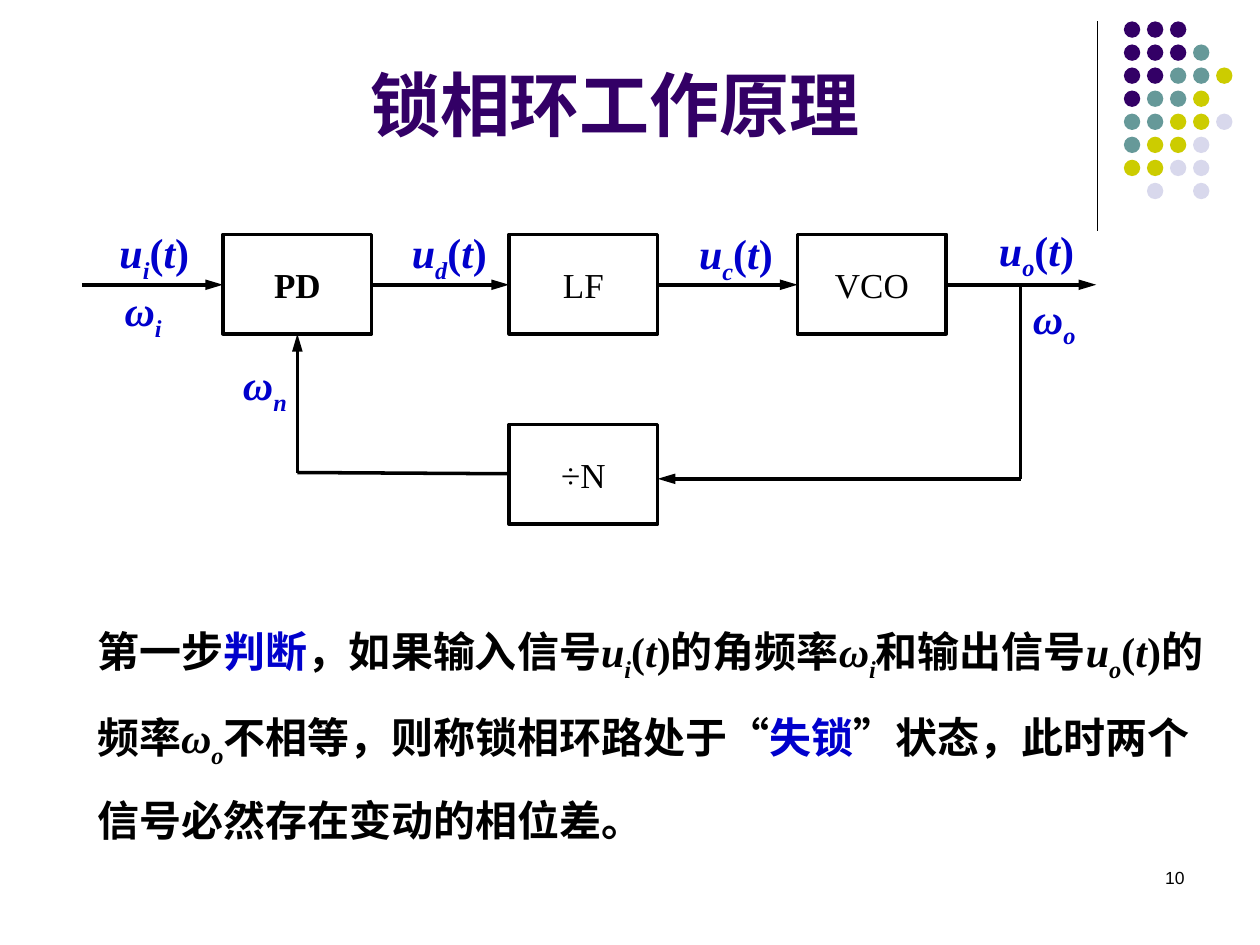
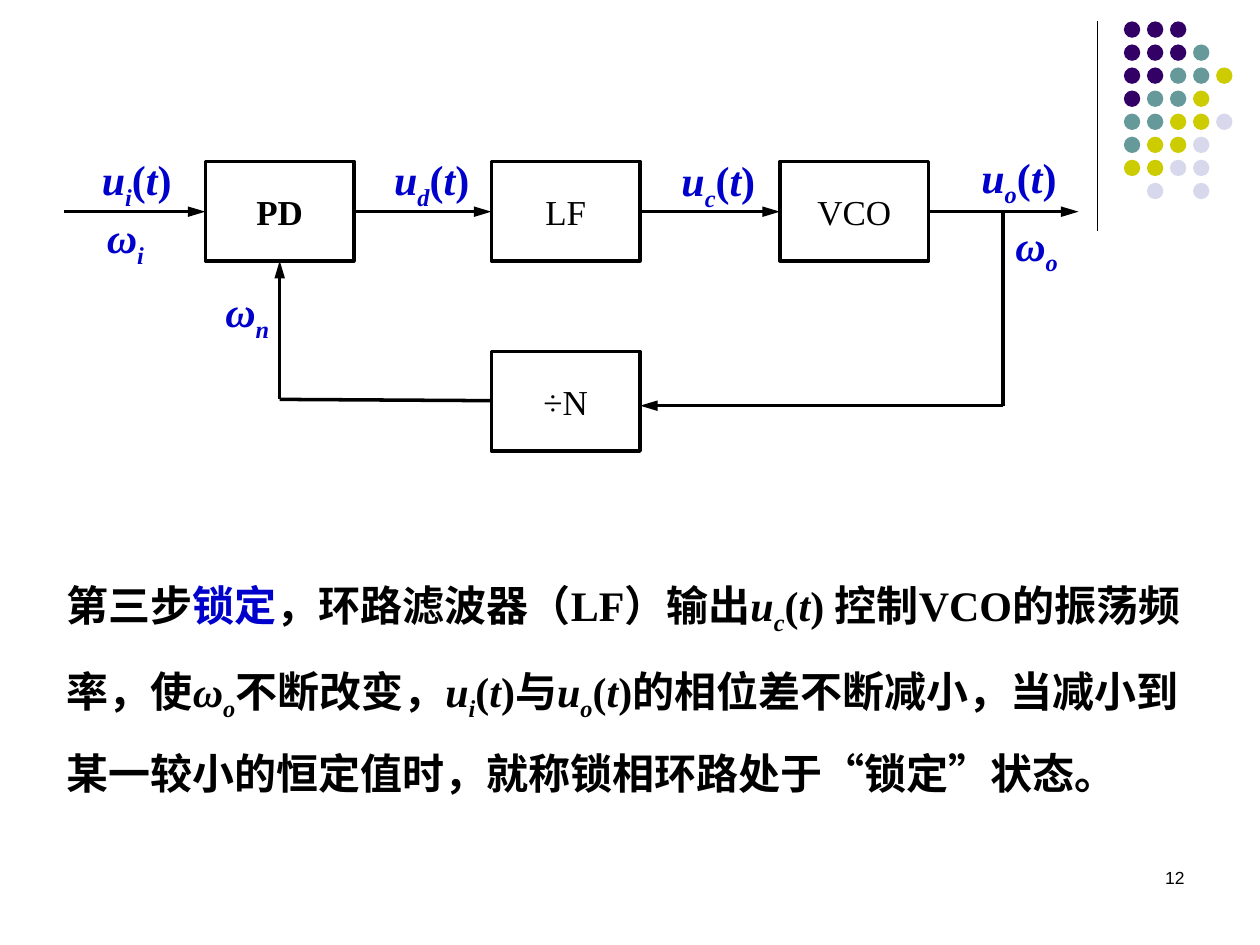
from dataclasses import dataclass
from itertools import groupby

from lxml import etree
from pptx import Presentation
from pptx import util as u
from pptx.dml.color import RGBColor
from pptx.enum import shapes as sh, text as tx
from pptx.oxml.ns import qn

PX = 9144  # one hundredth of an inch

BLACK = RGBColor(0x00, 0x00, 0x00)
WHITE = RGBColor(0xFF, 0xFF, 0xFF)
BLUE = RGBColor(0x00, 0x00, 0xCC)
PLUM = RGBColor(0x33, 0x00, 0x66)
TEAL = RGBColor(0x66, 0x99, 0x99)
LIME = RGBColor(0xCC, 0xCC, 0x00)
MIST = RGBColor(0xD8, 0xD8, 0xEC)

SERIF = "Times New Roman"
SANS = "Arial"
HAN = "Noto Sans CJK SC"
MATH = "utω"

DOTS = ("PPP", "PPPT", "PPTTY", "PTTY", "TTYYL", "TYYL", "YYLL", " L L")
TINTS = {"P": PLUM, "T": TEAL, "Y": LIME, "L": MIST}
PITCH = 18.3


@dataclass(frozen=True)
class Block:
    text: str
    left: int
    top: int
    bold: bool = False


@dataclass(frozen=True)
class Wire:
    start: tuple[int, int]
    end: tuple[int, int]
    arrow: bool = True


@dataclass(frozen=True)
class Label:
    text: str
    left: int
    top: int


@dataclass(frozen=True)
class Page:
    number: int
    title: str
    shift: tuple[int, int]
    area: tuple[int, int, int, int]
    body: str


BLOCKS = (
    Block("PD", 177, 186, bold=True),
    Block("LF", 404, 186),
    Block("VCO", 633, 186),
    Block("÷N", 404, 337),
)
WIRES = (
    Wire((65, 226), (177, 226)),
    Wire((295, 226), (404, 226)),
    Wire((522, 226), (633, 226)),
    Wire((751, 226), (870, 226)),
    Wire((810, 380), (810, 226), arrow=False),
    Wire((810, 380), (522, 380)),
    Wire((404, 376), (236, 375), arrow=False),
    Wire((236, 375), (236, 265)),
)
LABELS = (
    Label("u_i(t)", 85, 175),
    Label("u_d(t)", 317, 175),
    Label("u_c(t)", 545, 176),
    Label("u_o(t)", 783, 173),
    Label("ω_i", 89, 221),
    Label("ω_n", 183, 280),
    Label("ω_o", 810, 227),
)
PAGES = (
    Page(10, "锁相环工作原理", (0, 0), (67, 469, 898, 192),
         "第一步*判断*，如果输入信号u_i(t)的角频率ω_i和输出信号u_o(t)的频率ω_o"
         "不相等，则称锁相环路处于“*失锁*”状态，此时两个信号必然存在变动的相位差。"),
    Page(12, "", (-14, -58), (43, 432, 929, 192),
         "第三步*锁定*，环路滤波器（LF）输出u_c(t) 控制VCO的振荡频率，使ω_o不断改变，"
         "u_i(t)与u_o(t)的相位差不断减小，当减小到某一较小的恒定值时，"
         "就称锁相环路处于“锁定”状态。"),
)


def px(*sizes: float) -> list[u.Emu]:
    return [u.Emu(round(size * PX)) for size in sizes]


def place(shape, *area: int) -> None:
    shape.left, shape.top, shape.width, shape.height = px(*area)


def parse_marks(source: str) -> list[tuple[str, tuple[bool, bool, bool]]]:
    """Split into (text, (accent, italic, subscript)); * toggles accent, _ lowers a letter."""
    accent = sub = False
    chars = []
    for char in source:
        if char == "*":
            accent = not accent
        elif char == "_":
            sub = True
        else:
            chars.append((char, (accent, sub or char in MATH, sub)))
            sub = False
    return [("".join(char for char, _ in group), style)
            for style, group in groupby(chars, key=lambda pair: pair[1])]


def write(shape, source: str, *, size: int, color: RGBColor = BLACK, font: str = SERIF,
          bold: bool = False, align=tx.PP_ALIGN.LEFT, anchor=tx.MSO_ANCHOR.TOP,
          spacing: float = 1.0) -> None:
    frame = shape.text_frame
    frame.word_wrap = True
    frame.auto_size = tx.MSO_AUTO_SIZE.NONE
    frame.vertical_anchor = anchor
    para = frame.paragraphs[0]
    para.alignment = align
    para.line_spacing = spacing
    para.space_before = u.Pt(0)
    for words, (accent, italic, sub) in parse_marks(source):
        run = para.add_run()
        run.text = words
        run.font.size = u.Pt(size)
        run.font.bold = bold
        run.font.italic = italic
        run.font.color.rgb = BLUE if accent else color
        run.font.name = font
        props = run.font._element if hasattr(run.font, "_element") else run._r.get_or_add_rPr()
        etree.SubElement(props, qn("a:ea"), typeface=HAN)
        if sub:
            props.set("baseline", "-25000")


def add_text(parent, source: str, area: tuple[int, int, int, int], **style) -> None:
    write(parent.add_textbox(*px(*area)), source, **style)


def add_line(parent, wire: Wire, weight: float) -> None:
    line = parent.add_connector(sh.MSO_CONNECTOR.STRAIGHT, *px(*wire.start, *wire.end))
    line.line.color.rgb = BLACK
    line.line.width = u.Pt(weight)
    if wire.arrow:
        etree.SubElement(line.line._get_or_add_ln(), qn("a:tailEnd"),
                         type="triangle", w="med", len="lg")
    etree.SubElement(line._element.spPr, qn("a:effectLst"))


def add_solid(parent, kind, area: tuple[float, ...], fill: RGBColor):
    shape = parent.add_shape(kind, *px(*area))
    shape.shadow.inherit = False
    shape.fill.solid()
    shape.fill.fore_color.rgb = fill
    shape.line.fill.background()
    return shape


def add_corner(slide) -> None:
    """Draw the rule and the dot grid at the top right."""
    add_line(slide.shapes, Wire((871, 17), (871, 183), arrow=False), 0.75)
    group = slide.shapes.add_group_shape().shapes
    for row, tints in enumerate(DOTS):
        for col, tint in enumerate(tints):
            if tint in TINTS:
                area = (892 + col * PITCH, 17 + row * PITCH, 13, 13)
                add_solid(group, sh.MSO_SHAPE.OVAL, area, TINTS[tint])


def add_loop(slide, shift: tuple[int, int]) -> None:
    """Draw the phase-locked loop as one group, then move it."""
    group = slide.shapes.add_group_shape()
    for block in BLOCKS:
        box = add_solid(group.shapes, sh.MSO_SHAPE.RECTANGLE,
                        (block.left, block.top, 118, 79), WHITE)
        box.line.color.rgb = BLACK
        box.line.width = u.Pt(2)
        write(box, block.text, size=20, bold=block.bold,
              align=tx.PP_ALIGN.CENTER, anchor=tx.MSO_ANCHOR.MIDDLE)
    for wire in WIRES:
        add_line(group.shapes, wire, 2)
    for label in LABELS:
        add_text(group.shapes, label.text, (label.left, label.top, 87, 50),
                 size=24, color=BLUE, bold=True)
    right, down = px(*shift)
    group.left += right
    group.top += down


def add_page(deck, page: Page) -> None:
    slide = deck.slides.add_slide(deck.slide_layouts[1])
    title, body = slide.placeholders
    add_corner(slide)
    if page.title:
        place(title, 240, 44, 496, 77)
        write(title, page.title, size=40, color=PLUM, font=HAN, bold=True,
              align=tx.PP_ALIGN.CENTER, anchor=tx.MSO_ANCHOR.MIDDLE)
    else:
        title.element.getparent().remove(title.element)
    place(body, *page.area)
    write(body, page.body, size=24, bold=True, spacing=1.5)
    props = body.text_frame.paragraphs[0]._p.get_or_add_pPr()
    props.set("marL", "0")
    props.set("indent", "0")
    etree.SubElement(props, qn("a:buNone"))
    add_loop(slide, page.shift)
    add_text(slide.shapes, str(page.number), (717, 683, 233, 50), size=10, font=SANS,
             align=tx.PP_ALIGN.RIGHT)


def main() -> None:
    deck = Presentation()
    deck.slide_width, deck.slide_height = px(1000, 750)
    for page in PAGES:
        add_page(deck, page)
    deck.save("out.pptx")


if __name__ == "__main__":
    main()
